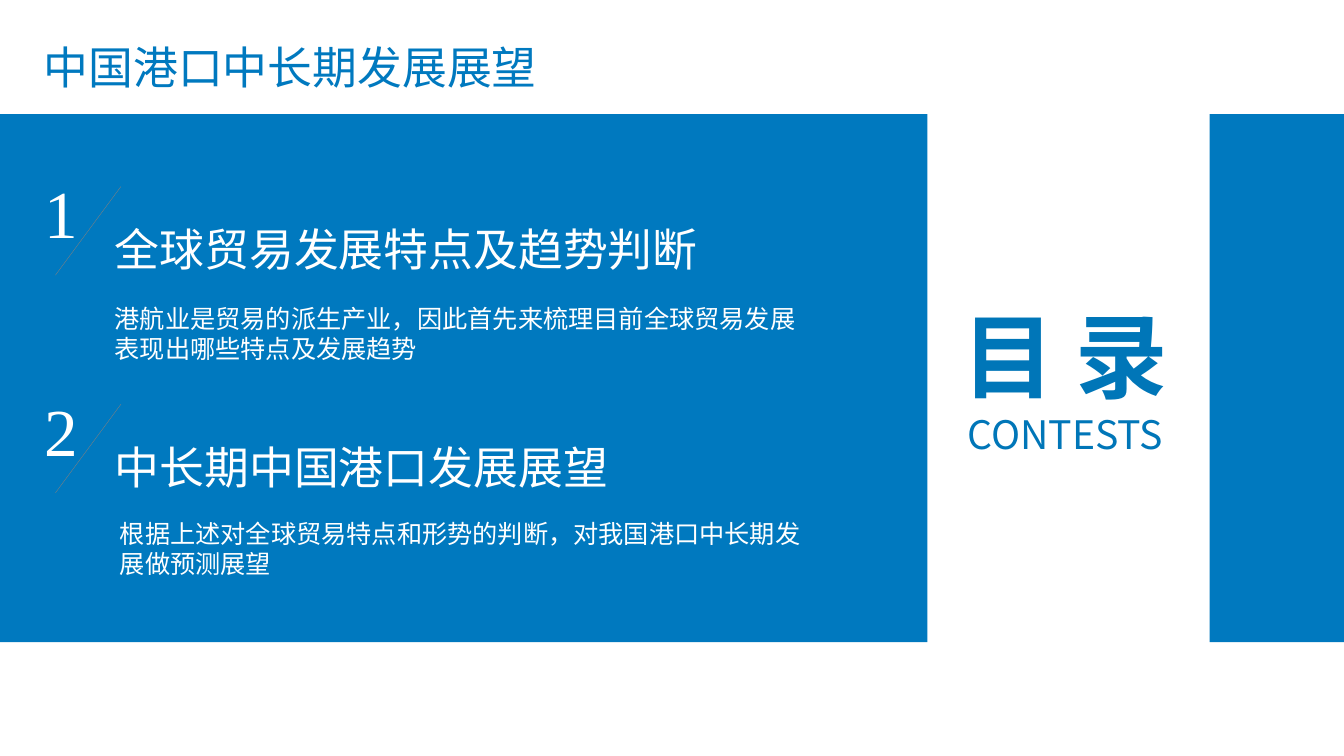
"""Build the contents slide of a talk on the outlook for ports."""
from dataclasses import dataclass

from lxml.etree import SubElement
from pptx import Presentation
from pptx.dml.color import RGBColor
from pptx.enum.shapes import MSO_CONNECTOR, MSO_SHAPE
from pptx.enum.text import MSO_ANCHOR, MSO_AUTO_SIZE, PP_ALIGN
from pptx.oxml.ns import qn
from pptx.shapes.autoshape import Shape
from pptx.slide import Slide
from pptx.util import Inches, Pt

WIDE, HIGH = Inches(13.33), Inches(7.5)
COLS, ROWS = 40, 30
PITCH = 8.64
SANS, SERIF = "Noto Sans CJK SC", "Times New Roman"
HUES = {"panel": "0079BF", "label": "0076B8", "white": "FFFFFF", "slash": "808080"}


@dataclass(frozen=True)
class Box:
    col: float
    row: float
    cols: float
    rows: float

    def place(self) -> tuple[int, int, int, int]:
        return across(self.col), down(self.row), across(self.cols), down(self.rows)


@dataclass(frozen=True)
class Line:
    text: str
    size: float
    hue: str = "white"
    font: str = SANS
    bold: bool = False
    align: PP_ALIGN = PP_ALIGN.LEFT


@dataclass(frozen=True)
class Topic:
    head: str
    head_cols: float
    note: str
    note_box: Box


PANELS = (Box(0, 4.53, 27.6, 20.95), Box(36, 4.53, 4, 20.95))
TITLE = Line("中国港口中长期发展展望", 32, "panel")
LABEL = (
    Line("目 录", 66, "label", bold=True, align=PP_ALIGN.CENTER),
    Line("CONTESTS", 28, "label", align=PP_ALIGN.CENTER),
)
TOPICS = (
    Topic("全球贸易发展特点及趋势判断", 19.56,
          "港航业是贸易的派生产业，因此首先来梳理目前全球贸易发展表现出哪些特点及发展趋势",
          Box(3.12, 11.84, 21.06, 2.84)),
    Topic("中长期中国港口发展展望", 18.03,
          "根据上述对全球贸易特点和形势的判断，对我国港口中长期发展做预测展望",
          Box(3.27, 20.36, 20.94, 2.84)),
)


def across(cols: float) -> int:
    return round(WIDE * cols / COLS)


def down(rows: float) -> int:
    return round(HIGH * rows / ROWS)


def paint(name: str) -> RGBColor:
    return RGBColor.from_string(HUES[name])


def write(shape: Shape, lines: tuple[Line, ...], anchor: MSO_ANCHOR = MSO_ANCHOR.TOP,
          wrap: bool = True) -> None:
    frame = shape.text_frame
    frame.word_wrap = wrap
    frame.auto_size = MSO_AUTO_SIZE.NONE
    frame.vertical_anchor = anchor
    for step, line in enumerate(lines):
        para = frame.add_paragraph() if step else frame.paragraphs[0]
        para.alignment = line.align
        run = para.add_run()
        run.text = line.text
        font = run.font
        font.name, font.size, font.bold = line.font, Pt(line.size), line.bold
        font.color.rgb = paint(line.hue)
        SubElement(run._r.get_or_add_rPr(), qn("a:ea"), typeface=line.font)


def add_text(slide: Slide, box: Box, *lines: Line, anchor: MSO_ANCHOR = MSO_ANCHOR.TOP,
             wrap: bool = True) -> None:
    write(slide.shapes.add_textbox(*box.place()), lines, anchor, wrap)


def add_panel(slide: Slide, box: Box) -> None:
    panel = slide.shapes.add_shape(MSO_SHAPE.RECTANGLE, *box.place())
    panel.shadow.inherit = False
    panel.fill.solid()
    panel.fill.fore_color.rgb = paint("panel")
    panel.line.fill.background()


def add_slash(slide: Slide, row: float) -> None:
    slash = slide.shapes.add_connector(
        MSO_CONNECTOR.STRAIGHT, across(3.6), down(row), across(1.65), down(row + 3.52))
    slash.line.color.rgb = paint("slash")
    slash.line.width = Pt(0.25)
    SubElement(slash._element.spPr, qn("a:effectLst"))


def add_topic(slide: Slide, rank: int, topic: Topic) -> None:
    top = 6.6 + rank * PITCH
    add_text(slide, Box(1.02, top, 1.62, 3.64),
             Line(str(rank + 1), 48, font=SERIF), wrap=False)
    add_slash(slide, top + 0.8)
    add_text(slide, Box(3.12, top + 2, topic.head_cols, 2.56), Line(topic.head, 32))
    add_text(slide, topic.note_box, Line(topic.note, 18))


def main() -> None:
    deck = Presentation()
    deck.slide_width, deck.slide_height = WIDE, HIGH
    slide = deck.slides.add_slide(deck.slide_layouts.get_by_name("Title Only"))
    title = slide.shapes.title
    title.left, title.top, title.width, title.height = Box(1, 1.36, 19.1, 2.56).place()
    write(title, (TITLE,))
    for box in PANELS:
        add_panel(slide, box)
    add_text(slide, Box(27.78, 12.16, 7.86, 5.72), *LABEL, anchor=MSO_ANCHOR.MIDDLE)
    for rank, topic in enumerate(TOPICS):
        add_topic(slide, rank, topic)
    deck.save("out.pptx")


if __name__ == "__main__":
    main()
